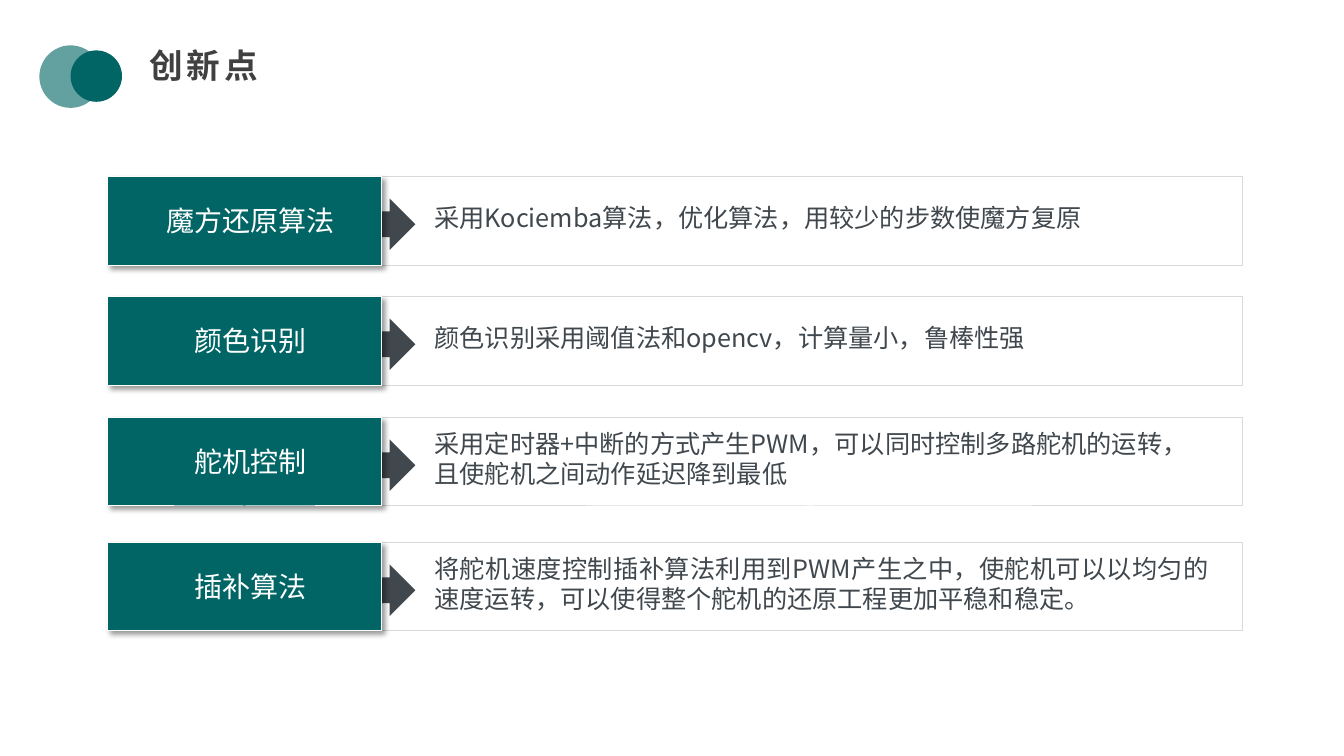
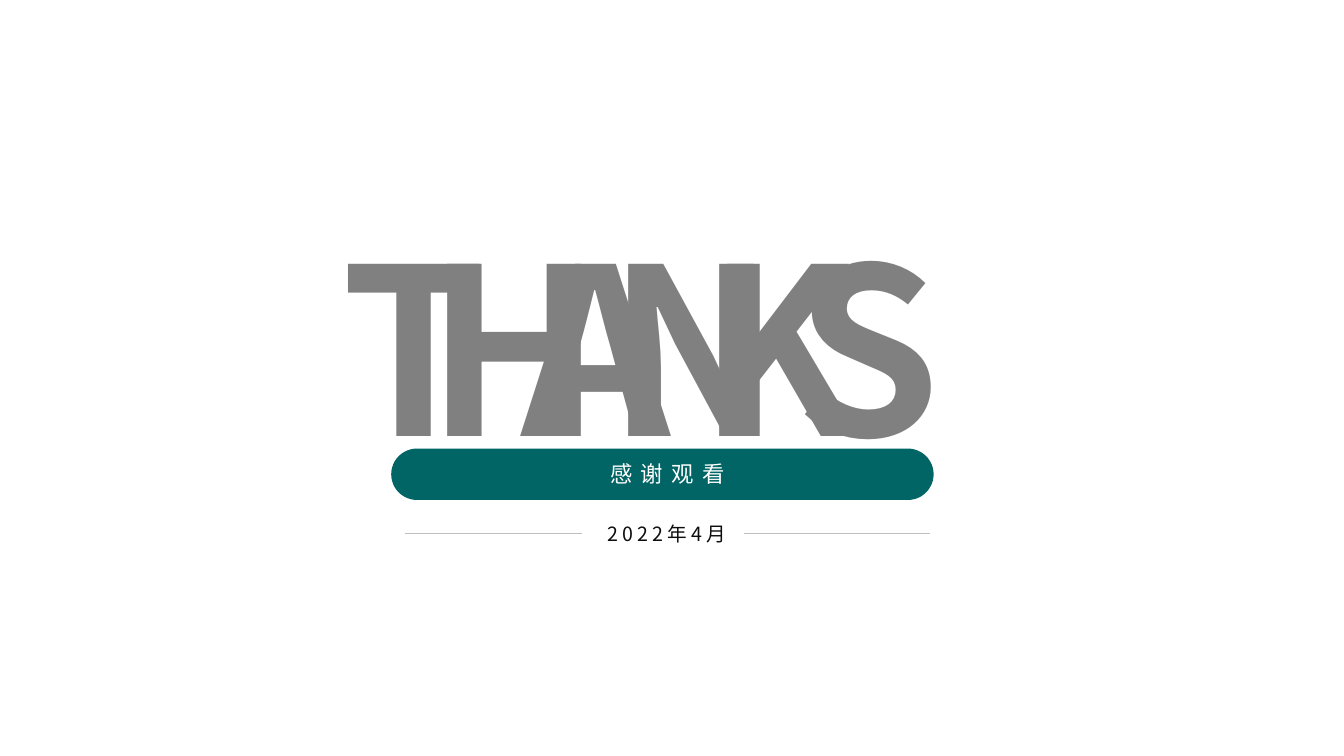
from lxml.etree import SubElement
from pptx import Presentation
from pptx.dml.color import RGBColor
from pptx.enum.shapes import MSO_CONNECTOR, MSO_SHAPE
from pptx.enum.text import MSO_ANCHOR, MSO_AUTO_SIZE, PP_ALIGN
from pptx.oxml.ns import qn
from pptx.util import Inches, Pt

COLORS = {
    "teal": "016565", "slate": "40474D", "white": "FFFFFF", "border": "D9D9D9",
    "title": "404040", "ink": "0D0D0D", "rule": "BFBFBF",
    "gray": "808080", "dark": "595959",
}
SC = "Noto Sans CJK SC"
JP = "Noto Sans CJK JP"
INSET = (0.1, 0.05, 0.1, 0.05)
TITLE = {"size": Pt(24), "bold": True}
LABEL = {"size": Pt(20)}
BODY = {"size": Pt(18)}
LETTER = {"size": Pt(166), "bold": True}
BANNER = {"size": Pt(16)}
DATE = {"size": Pt(14)}
ROWS = [
    (1.75, "魔方还原算法", "采用Kociemba算法，优化算法，用较少的步数使魔方复原",
     1, PP_ALIGN.JUSTIFY),
    (2.94, "颜色识别", "颜色识别采用阈值法和opencv，计算量小，鲁棒性强",
     1, PP_ALIGN.JUSTIFY),
    (4.14, "舵机控制",
     "采用定时器+中断的方式产生PWM，可以同时控制多路舵机的运转，且使舵机之间动作延迟降到最低",
     2, PP_ALIGN.LEFT),
    (5.38, "插补算法",
     "将舵机速度控制插补算法利用到PWM产生之中，使舵机可以以均匀的速度运转，"
     "可以使得整个舵机的还原工程更加平稳和稳定。",
     2, PP_ALIGN.JUSTIFY),
]


def rgb(name):
    return RGBColor.from_string(COLORS[name])


def add_shape(slide, kind, box, fill=None, line=None):
    shape = slide.shapes.add_shape(kind, *map(Inches, box))
    shape.shadow.inherit = False
    if fill:
        shape.fill.solid()
        shape.fill.fore_color.rgb = rgb(fill)
    else:
        shape.fill.background()
    if line:
        shape.line.color.rgb = rgb(line)
        shape.line.width = Pt(0.75)
    else:
        shape.line.fill.background()
    return shape


def set_alpha(node, value):
    SubElement(node, qn("a:alpha")).set("val", str(value * 1000))


def add_shadow(shape):
    effects = shape._element.spPr.find(qn("a:effectLst"))
    shadow = SubElement(effects, qn("a:outerShdw"), blurRad=str(Pt(4)),
                        dist=str(Pt(3)), dir=str(45 * 60000),
                        algn="tl", rotWithShape="0")
    set_alpha(SubElement(shadow, qn("a:srgbClr"), val="000000"), 40)


def fade(font):
    font.fill.gradient()
    font.fill.gradient_angle = 0
    for stop, (place, name) in zip(font.fill.gradient_stops,
                                   ((0.16, "gray"), (0.92, "dark"))):
        stop.position = place
        stop.color.rgb = rgb(name)
    clear = font._element.findall(".//" + qn("a:srgbClr"))[-1]
    set_alpha(clear, 0)


def write(shape, runs, style, color=None, align=PP_ALIGN.CENTER,
          anchor=MSO_ANCHOR.TOP, inset=INSET, gap=0):
    frame = shape.text_frame
    left, top, right, bottom = map(Inches, inset)
    layout = {"word_wrap": True, "vertical_anchor": anchor,
              "margin_left": left, "margin_top": top,
              "margin_right": right, "margin_bottom": bottom}
    for key, value in layout.items():
        setattr(frame, key, value)
    para = frame.paragraphs[0]
    para.alignment = align
    for text, face in runs:
        run = para.add_run()
        run.text = text
        for key, value in style.items():
            setattr(run.font, key, value)
        if color:
            run.font.color.rgb = rgb(color)
        else:
            fade(run.font)
        run.font.name = face
        props = run.font._element
        SubElement(props, qn("a:ea"), typeface=face)
        if gap:
            props.set("spc", str(gap * 100))


def add_text(slide, box, text, style, color=None, face=SC, **options):
    shape = slide.shapes.add_textbox(*map(Inches, box))
    write(shape, [(text, face)], style, color, **options)
    shape.text_frame.auto_size = MSO_AUTO_SIZE.SHAPE_TO_FIT_TEXT


def add_rule(slide, start, end, y):
    rule = slide.shapes.add_connector(
        MSO_CONNECTOR.STRAIGHT, *map(Inches, (start, y, end, y)))
    rule.line.color.rgb = rgb("rule")
    rule.line.width = Pt(0.75)
    SubElement(rule._element.spPr, qn("a:effectLst"))


def add_title(slide, text):
    add_text(slide, (1.41, 0.42, 11.75, 0.47), text, TITLE, "title",
             align=PP_ALIGN.LEFT, inset=(0.07, 0.03, 0.07, 0.03), gap=3)
    add_shape(slide, MSO_SHAPE.OVAL, (0.7, 0.5, 0.51, 0.51), "teal")
    halo = add_shape(slide, MSO_SHAPE.OVAL, (0.39, 0.45, 0.62, 0.62), "teal")
    set_alpha(halo._element.spPr.find(".//" + qn("a:srgbClr")), 61)


def add_row(slide, top, label, body, lines, align):
    add_shape(slide, MSO_SHAPE.RECTANGLE, (3.73, top, 8.59, 0.88),
              "white", "border")
    add_shape(slide, MSO_SHAPE.RIGHT_ARROW, (3.49, top + 0.22, 0.63, 0.51),
              "slate")
    card = add_shape(slide, MSO_SHAPE.RECTANGLE, (1.07, top, 2.71, 0.88),
                     "teal", "white")
    add_shadow(card)
    add_text(slide, (1.19, top + 0.22, 2.59, 0.44), label, LABEL, "white",
             anchor=MSO_ANCHOR.MIDDLE)
    drop, height = (0.21, 0.4) if lines == 1 else (0.05, 0.71)
    add_text(slide, (4.21, top + drop, 7.88, height), body, BODY, "slate",
             align=align, anchor=MSO_ANCHOR.MIDDLE)


def add_points(slide):
    for row in ROWS:
        add_row(slide, *row)
    add_title(slide, "创新点")


def add_thanks(slide):
    for index, letter in enumerate("THANKS"):
        add_text(slide, (3.33 + 0.9 * index, 2.02, 1.56, 2.89), letter,
                 LETTER, inset=(0, 0, 0, 0))
    for start, end in ((4.02, 5.77), (7.38, 9.22)):
        add_rule(slide, start, end, 5.29)
    pill = MSO_SHAPE.ROUNDED_RECTANGLE
    date = add_shape(slide, pill, (4.93, 5.09, 3.37, 0.41))
    write(date, [("2022", SC), ("年", JP), ("4", SC), ("月", JP)], DATE, "ink",
          anchor=MSO_ANCHOR.MIDDLE, gap=3)
    banner = add_shape(slide, pill, (3.88, 4.45, 5.38, 0.51), "teal")
    for shape in (date, banner):
        shape.adjustments[0] = 0.5
    add_text(slide, (4.14, 4.52, 4.96, 0.37), "感谢观看", BANNER, "white",
             face=JP, gap=6)


def main():
    deck = Presentation()
    deck.slide_width = Inches(13.33)
    deck.slide_height = Inches(7.5)
    for build in (add_points, add_thanks):
        build(deck.slides.add_slide(deck.slide_layouts[6]))
    deck.save("out.pptx")


if __name__ == "__main__":
    main()
